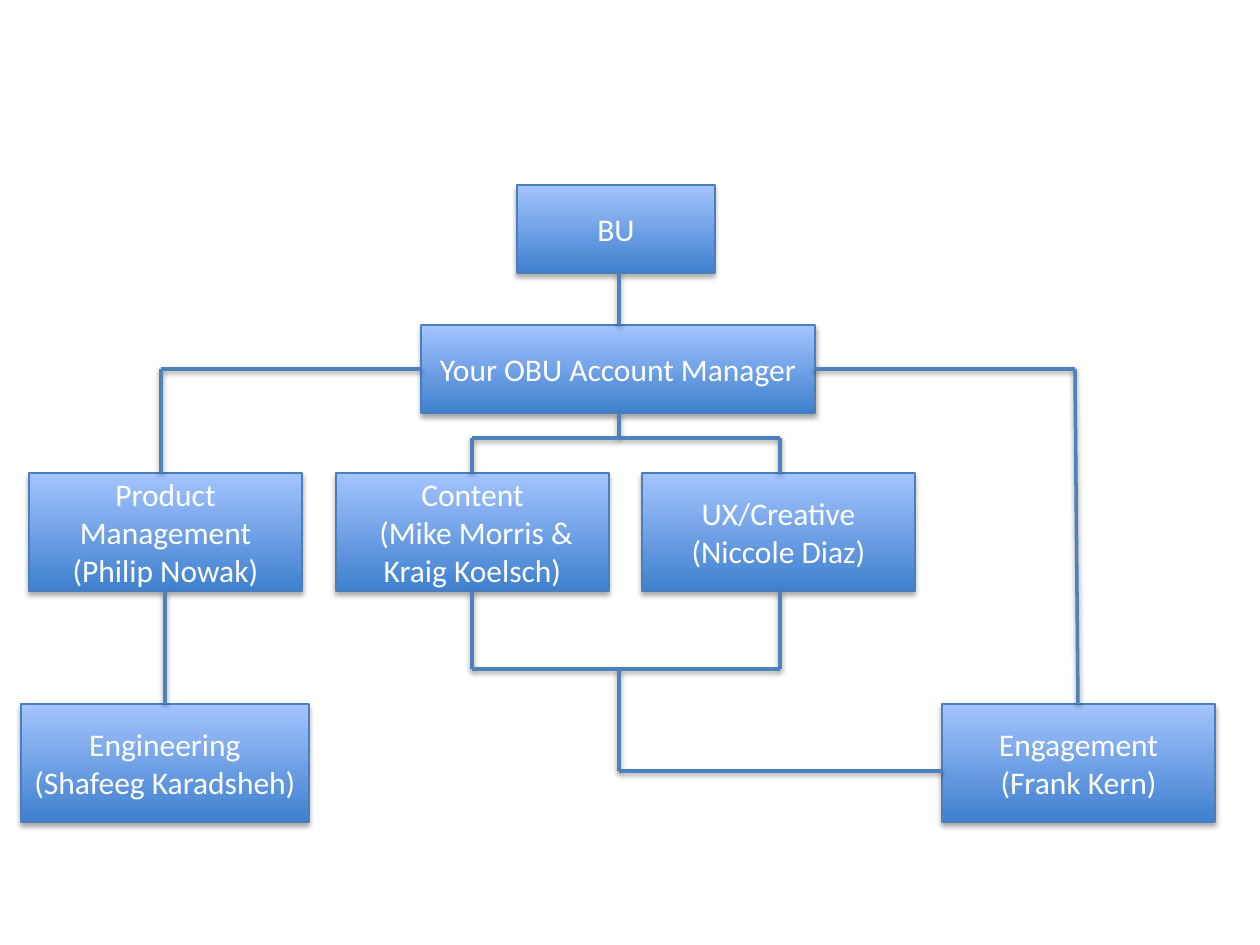
"""Build an account team organisation chart."""
import pptx
import pptx.dml.color
import pptx.enum.shapes
import pptx.enum.text
import pptx.oxml.ns
import pptx.util
from lxml import etree

SCALE = 914400 / 126
BOX_BOTTOM = pptx.dml.color.RGBColor(0x3F, 0x80, 0xCE)
BOX_TOP = pptx.dml.color.RGBColor(0xA4, 0xC4, 0xFF)
BOX_EDGE = pptx.dml.color.RGBColor(0x4B, 0x7E, 0xBC)
LINK = pptx.dml.color.RGBColor(0x4F, 0x81, 0xBD)
WHITE = pptx.dml.color.RGBColor(0xFF, 0xFF, 0xFF)
BLACK = pptx.dml.color.RGBColor(0, 0, 0)

LEAD_TOP, LEAD_HEIGHT = 325, 88
TEAM_TOP, DELIVERY_TOP, TEAM_WIDTH, TEAM_HEIGHT = 473, 704, 273, 118
LEAD_BOTTOM = LEAD_TOP + LEAD_HEIGHT
TEAM_BOTTOM = TEAM_TOP + TEAM_HEIGHT
CENTER, CONTENT, CREATIVE = 619, 472, 780
BRANCH, MERGE, ENGAGEMENT = 438, 669, 771

BOXES = [
    (517, 185, 198, LEAD_HEIGHT, ["BU"]),
    (421, LEAD_TOP, 394, LEAD_HEIGHT, ["Your OBU Account Manager"]),
    (29, TEAM_TOP, TEAM_WIDTH, TEAM_HEIGHT, ["Product Management", "(Philip Nowak)"]),
    (336, TEAM_TOP, TEAM_WIDTH, TEAM_HEIGHT,
     ["Content", " (Mike Morris & Kraig Koelsch)"]),
    (642, TEAM_TOP, TEAM_WIDTH, TEAM_HEIGHT, ["UX/Creative", "(Niccole Diaz)"]),
    (21, DELIVERY_TOP, 288, TEAM_HEIGHT, ["Engineering", "(Shafeeg Karadsheh)"]),
    (942, DELIVERY_TOP, TEAM_WIDTH, TEAM_HEIGHT, ["Engagement", "(Frank Kern)"]),
]
LINKS = [
    (CENTER, 273, CENTER, LEAD_TOP),
    (421, 369, 161, 369),
    (161, 369, 161, TEAM_TOP),
    (1075, 369, 815, 369),
    (1075, 369, 1078, DELIVERY_TOP),
    (CENTER, LEAD_BOTTOM, CENTER, BRANCH),
    (CREATIVE, BRANCH, CONTENT, BRANCH),
    (CONTENT, BRANCH, CONTENT, TEAM_TOP),
    (CREATIVE, BRANCH, CREATIVE, TEAM_TOP),
    (CONTENT, TEAM_BOTTOM, CONTENT, MERGE),
    (CREATIVE, TEAM_BOTTOM, CREATIVE, MERGE),
    (CREATIVE, MERGE, CONTENT, MERGE),
    (CENTER, MERGE, CENTER, ENGAGEMENT),
    (942, ENGAGEMENT, CENTER, ENGAGEMENT),
    (165, TEAM_BOTTOM, 165, DELIVERY_TOP),
]


def emu(*pixels):
    """Turn pixel lengths into EMU."""
    return [pptx.util.Emu(round(value * SCALE)) for value in pixels]


def add_shadow(shape, distance, opacity):
    """Give a shape or connector a soft shadow straight below it."""
    qn = pptx.oxml.ns.qn
    effects = etree.SubElement(shape._element.spPr, qn("a:effectLst"))
    shadow = etree.SubElement(
        effects, qn("a:outerShdw"), blurRad=str(pptx.util.Pt(3.1)),
        dist=str(pptx.util.Pt(distance)), dir="5400000", rotWithShape="0")
    color = etree.SubElement(shadow, qn("a:srgbClr"), val=str(BLACK))
    etree.SubElement(color, qn("a:alpha"), val=str(opacity * 1000))


def add_box(slide, left, top, width, height, lines):
    """Add a gradient box with centred lines of text."""
    shape = slide.shapes.add_shape(
        pptx.enum.shapes.MSO_SHAPE.RECTANGLE, *emu(left, top, width, height))
    shape.fill.gradient()
    shape.fill.gradient_angle = 90
    for stop, color in zip(shape.fill.gradient_stops, (BOX_BOTTOM, BOX_TOP)):
        stop.color.rgb = color
    shape.line.color.rgb = BOX_EDGE
    shape.line.width = pptx.util.Pt(0.75)
    add_shadow(shape, 1.8, 35)
    frame = shape.text_frame
    frame.word_wrap = True
    frame.vertical_anchor = pptx.enum.text.MSO_ANCHOR.MIDDLE
    frame.text = "\n".join(lines)
    for paragraph in frame.paragraphs:
        paragraph.alignment = pptx.enum.text.PP_ALIGN.CENTER
        paragraph.font.name = "Calibri"
        paragraph.font.size = pptx.util.Pt(18)
        paragraph.font.color.rgb = WHITE


def add_link(slide, *ends):
    """Add a straight line between two points."""
    connector = slide.shapes.add_connector(
        pptx.enum.shapes.MSO_CONNECTOR.STRAIGHT, *emu(*ends))
    connector.line.color.rgb = LINK
    connector.line.width = pptx.util.Pt(2)
    add_shadow(connector, 1.6, 38)


def main():
    """Build and save the slide."""
    presentation = pptx.Presentation()
    presentation.slide_width, presentation.slide_height = emu(1260, 945)
    slide = presentation.slides.add_slide(presentation.slide_layouts[6])
    for box in BOXES:
        add_box(slide, *box)
    for link in LINKS:
        add_link(slide, *link)
    presentation.save("out.pptx")


main()
